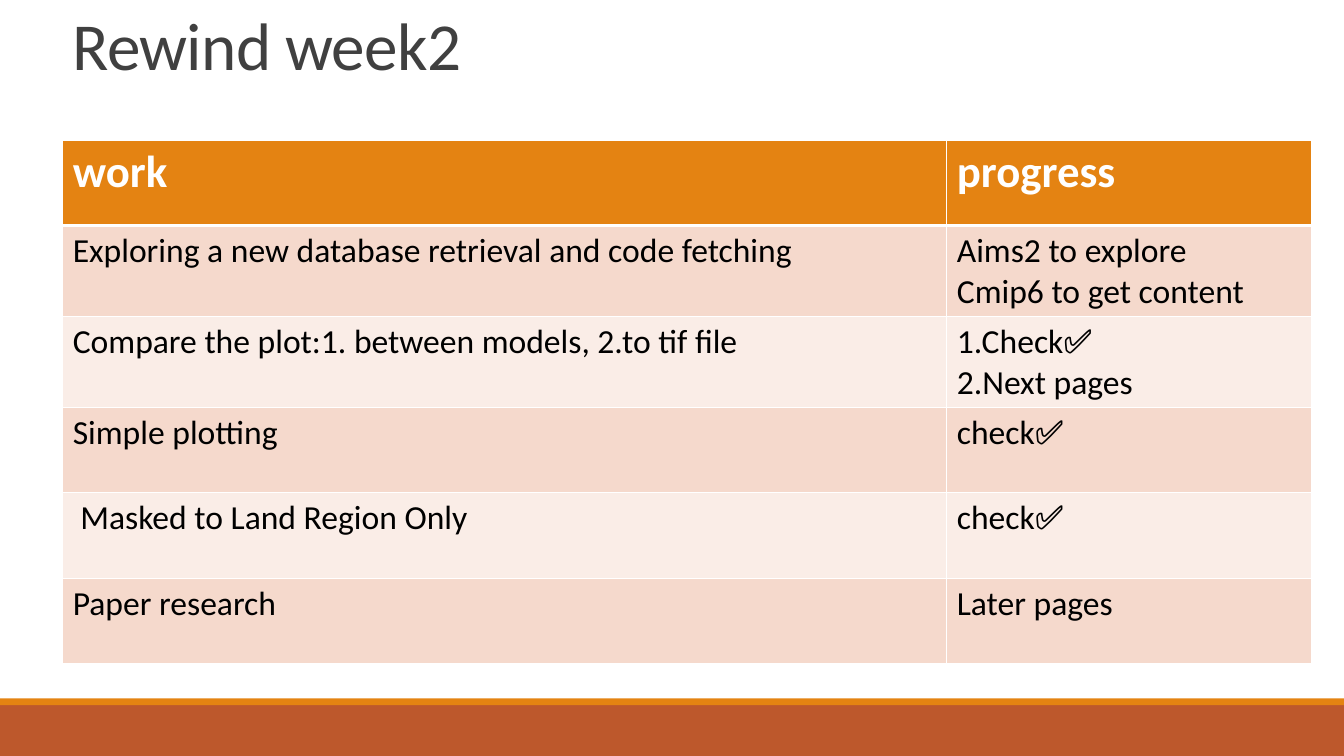
from lxml import etree
from pptx import Presentation
from pptx.dml.color import RGBColor
from pptx.enum import shapes, text
from pptx.oxml import ns
from pptx.util import Cm, Pt

COLORS = {
    "title": "404040",
    "header": "E48312",
    "footer": "BD582C",
    "odd_row": "F5D9CC",
    "even_row": "FAEDE7",
    "body": "000000",
    "white": "FFFFFF",
}
FONT = "Calibri"
COLUMN_SHARES = (0.708, 0.292)
ROWS = [
    ("work", "progress"),
    ("Exploring a new database retrieval and code fetching",
     "Aims2 to explore\nCmip6 to get content"),
    ("Compare the plot:1. between models, 2.to tif file",
     "1.Check✅\n2.Next pages"),
    ("Simple plotting", "check✅"),
    (" Masked to Land Region Only", "check✅"),
    ("Paper research", "Later pages"),
]


def rgb(name):
    return RGBColor.from_string(COLORS[name])


def style_runs(frame, size, color, bold=False):
    for para in frame.paragraphs:
        for span in para.runs:
            span.font.name = FONT
            span.font.size = Pt(size)
            span.font.bold = bold
            span.font.color.rgb = rgb(color)


def add_title(page, left, top, width, height):
    box = page.shapes.add_textbox(left, top, width, height)
    frame = box.text_frame
    frame.word_wrap = True
    frame.vertical_anchor = text.MSO_ANCHOR.BOTTOM
    frame.text = "Rewind week2"
    para = frame.paragraphs[0]
    para.line_spacing = 0.85
    style_runs(frame, 48, "title")
    para.runs[0].font._element.set("spc", "-50")


def set_borders(cell, top, bottom):
    """Draw white cell borders; top and bottom are widths in points."""
    properties = cell._tc.get_or_add_tcPr()
    for side, width in (("L", 1), ("R", 1), ("T", top), ("B", bottom)):
        line = etree.SubElement(properties, ns.qn(f"a:ln{side}"), w=str(Pt(width)))
        fill = etree.SubElement(line, ns.qn("a:solidFill"))
        etree.SubElement(fill, ns.qn("a:srgbClr"), val=COLORS["white"])


def add_progress_table(page, left, top, width, height):
    table = page.shapes.add_table(
        len(ROWS), len(COLUMN_SHARES), left, top, width, height).table
    for column, share in zip(table.columns, COLUMN_SHARES):
        column.width = int(width * share)
    for r, row in enumerate(ROWS):
        header = r == 0
        shade = "header" if header else "odd_row" if r % 2 else "even_row"
        for c, words in enumerate(row):
            cell = table.cell(r, c)
            set_borders(cell, top=3 if r == 1 else 1, bottom=3 if header else 1)
            cell.fill.solid()
            cell.fill.fore_color.rgb = rgb(shade)
            cell.text_frame.text = words
            if header:
                style_runs(cell.text_frame, 32, "white", bold=True)
            else:
                style_runs(cell.text_frame, 24, "body")


def add_footer(page, left, top, width, height):
    stripe = Cm(0.17)
    bands = (("footer", top + stripe, height - stripe), ("header", top, stripe))
    for color, band_top, band_height in bands:
        band = page.shapes.add_shape(
            shapes.MSO_SHAPE.RECTANGLE, left, band_top, width, band_height)
        band.shadow.inherit = False
        band.fill.solid()
        band.fill.fore_color.rgb = rgb(color)
        band.line.fill.background()


def main():
    deck = Presentation()
    deck.slide_width, deck.slide_height = Cm(33.87), Cm(19.05)
    page = deck.slides.add_slide(deck.slide_layouts[6])
    footer_top = Cm(17.6)
    add_footer(page, 0, footer_top, deck.slide_width, deck.slide_height - footer_top)
    add_title(page, Cm(1.58), Cm(-1.8), Cm(27.94), Cm(4.04))
    add_progress_table(page, Cm(1.58), Cm(3.53), Cm(31.47), Cm(12.93))
    deck.save("out.pptx")


if __name__ == "__main__":
    main()
